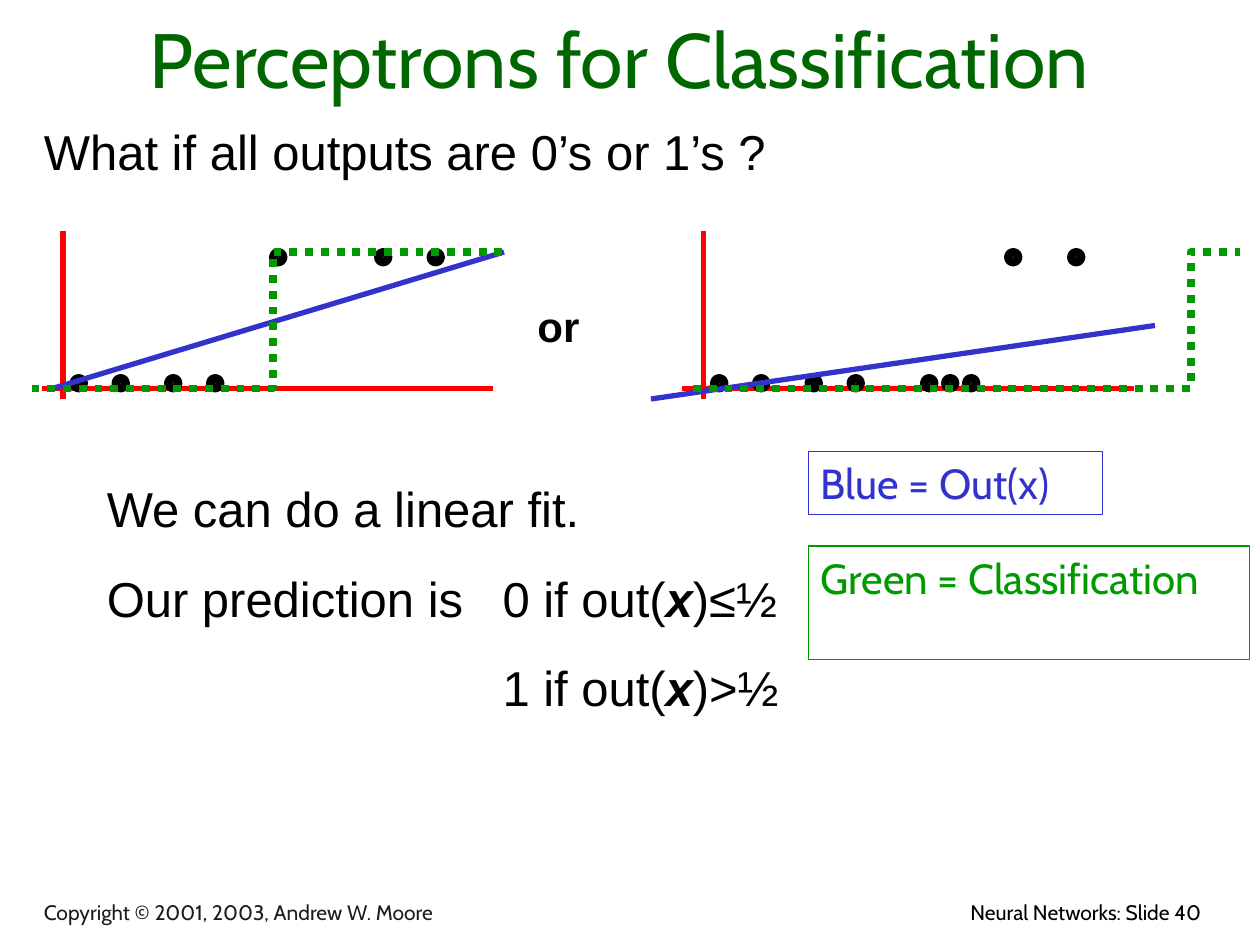
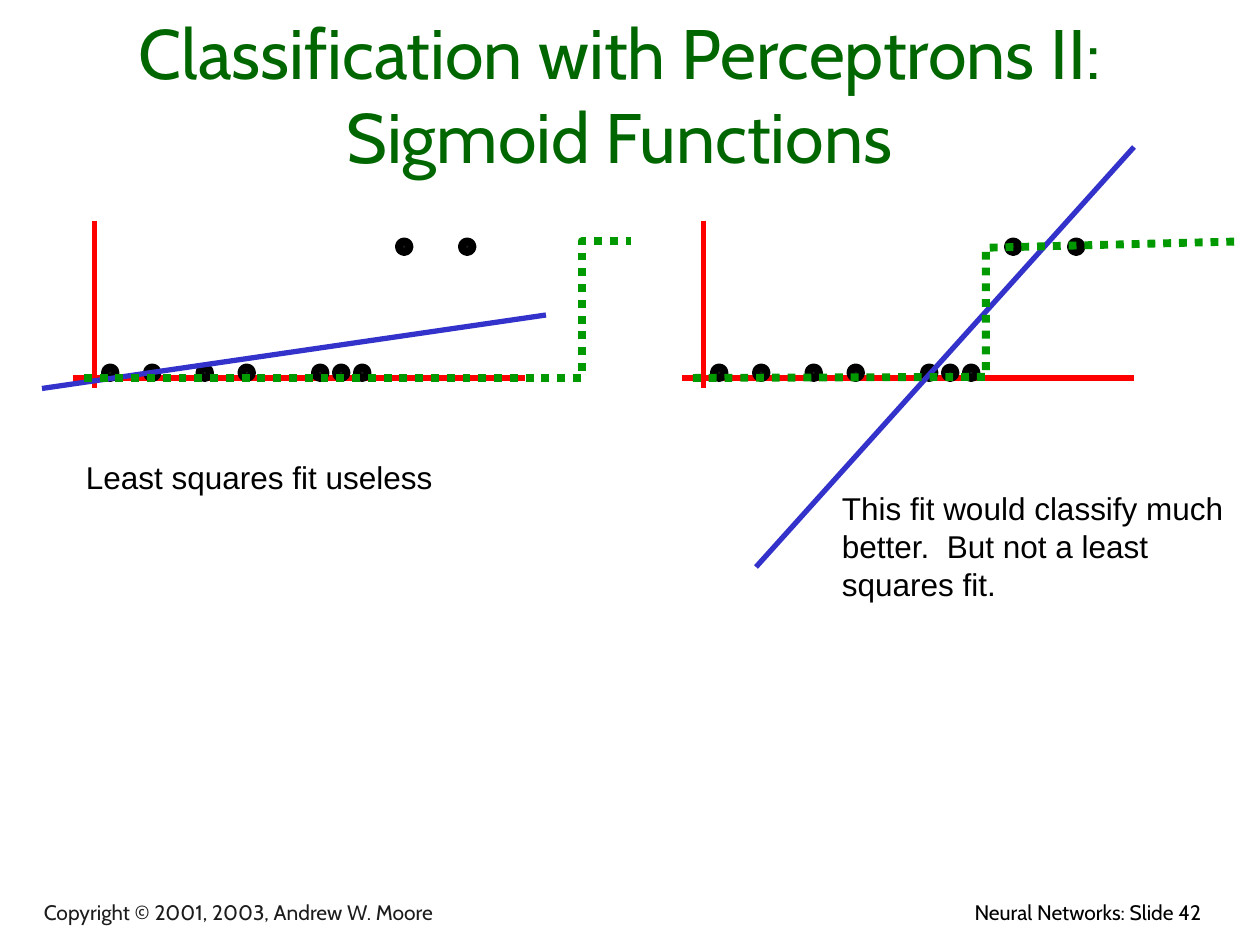
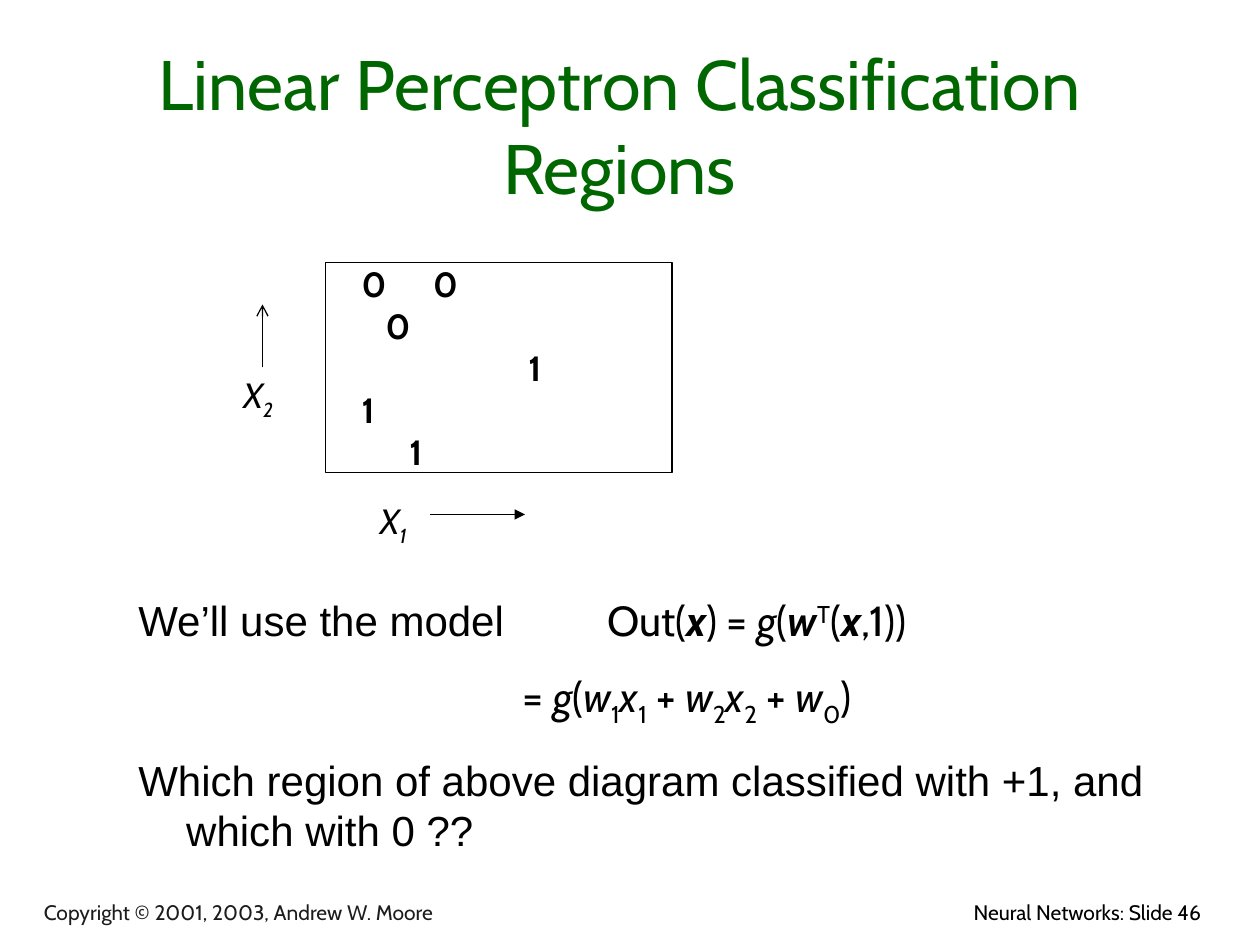
from pptx import Presentation
from pptx.dml.color import RGBColor
from pptx.enum.dml import MSO_LINE
from pptx.enum.shapes import MSO_CONNECTOR, MSO_SHAPE
from pptx.enum.text import MSO_ANCHOR, MSO_AUTO_SIZE, PP_ALIGN
from pptx.oxml.ns import qn
from pptx.util import Inches, Pt
from lxml import etree

STRAIGHT = MSO_CONNECTOR.STRAIGHT
DOT, RECTANGLE = MSO_SHAPE.FLOWCHART_CONNECTOR, MSO_SHAPE.RECTANGLE
DOTTED = MSO_LINE.ROUND_DOT
TOP, MIDDLE, BOTTOM = MSO_ANCHOR.TOP, MSO_ANCHOR.MIDDLE, MSO_ANCHOR.BOTTOM
LEFT, CENTER, RIGHT = PP_ALIGN.LEFT, PP_ALIGN.CENTER, PP_ALIGN.RIGHT

# The slide is a grid of 120 columns by 90 rows, 12 cells to the inch.
COLUMNS, ROWS, CELL = 120, 90, Inches(1) / 12
TITLE_LAYOUT = 5
COLORS = {"title": "006600", "text": "000000", "footer": "1C1C1C",
          "axis": "FF0000", "fit": "3333CC", "class": "009900"}
SANS, CABIN = "Arial", "Cabin"
COPYRIGHT = "Copyright © 2001, 2003, Andrew W. Moore"
COURSE = "Neural Networks: Slide {}"

# Points of a plot are (columns right, rows up) from its origin.
FEW_POINTS = {"low": (1, 5, 10, 14), "high": (20, 30, 35)}
MANY_POINTS = {"low": (1, 5, 10, 14, 21, 23, 25), "high": (29, 35)}
FLAT_FIT = {"points": MANY_POINTS, "fit": ((-5, -1), (43, 6)),
            "step": ((-1, 0), (46.4, 0), (46.4, 13), (51.1, 13))}
EARLY_STEP = {"points": FEW_POINTS, "fit": ((-1, 0), (42, 13)),
              "step": ((-3, 0), (20, 0), (20, 13), (42, 13))}
STEEP_FIT = {"points": MANY_POINTS, "fit": ((5, -18), (41, 22)),
             "step": ((-1, 0), (26.9, 0.1), (26.9, 12.4), (51.1, 13))}

# A paragraph is a list of (text, style): b bold, i italic, _ sub, ^ super, c Cabin.
PREDICTION = [
    [("We can do a linear fit.", "")],
    [("Our prediction is\t0 if out(", ""), ("x", "bi"), (")≤½", "")],
    [("\t1 if out(", ""), ("x", "bi"), (")>½", "")],
]
MODEL = [
    [("We’ll use the model\t", ""), ("Out(", "c"), ("x", "cbi"), (") = ", "c"),
     ("g", "ci"), ("(", "c"), ("w", "cbi"), ("T", "c^"), ("(", "c"),
     ("x", "cbi"), (",1))", "c")],
    [("\t= ", "c"), ("g", "ci"), ("(", "c"), ("w", "ci"), ("1", "c_"),
     ("x", "ci"), ("1", "c_"), (" +", "c"), (" w", "ci"), ("2", "c_"),
     ("x", "ci"), ("2", "c_"), (" + ", "c"), ("w", "ci"), ("0", "c_"),
     (")", "c")],
    [("Which region of above diagram classified with +1, and which with 0 ??", "")],
]
MODEL_TABS = [[3.72], [3.05], []]
REGION_STEP = 0.063  # inches between places in a region row
REGION_ROWS = [("0", (3, 12)), ("0", (6,)), ("1", (24,)), ("1", (3,)), ("1", (9,))]

SLIDES = [
    {"number": 40, "title": "Perceptrons for Classification", "title_size": 44,
     "title_box": (3, 2, 112, 8.5),
     "plots": [((6, 37), EARLY_STEP), ((67, 37), FLAT_FIT)],
     "texts": [
         {"box": (3, 11, 112.5, 9), "size": 28, "before": 7,
          "paragraphs": [[("What if all outputs are 0’s or 1’s ?", "")]]},
         {"box": (50, 28, 10, 6), "size": 24, "before": 15,
          "paragraphs": [[("or", "b")]]},
         {"box": (9, 45, 102, 24), "size": 28, "before": 17.5,
          "paragraphs": PREDICTION, "tabs": [[], [3.14], [3.14]]},
         {"box": (77, 43, 28, 6), "size": 24, "before": 15, "color": "fit",
          "border": "fit", "paragraphs": [[("Blue = Out(x)", "c")]]},
         {"box": (77, 52, 42, 10.8), "size": 24, "before": 15, "color": "class",
          "border": "class", "paragraphs": [[("Green = Classification", "c")]]},
     ]},
    {"number": 42, "title": "Classification with Perceptrons II:\nSigmoid Functions",
     "title_size": 40, "title_box": (3, 1, 112, 16.5),
     "plots": [((9, 36), FLAT_FIT), ((67, 36), STEEP_FIT)],
     "texts": [
         {"box": (7, 43, 37, 4.8), "size": 18, "before": 11.2,
          "paragraphs": [[("Least squares fit useless", "")]]},
         {"box": (79, 46, 40, 12), "size": 18, "before": 11.2,
          "paragraphs": [[("This fit would classify much better.  But not a least "
                           "squares fit.", "")]]},
     ]},
    {"number": 46, "title": "Linear Perceptron Classification Regions",
     "title_size": 40, "title_box": (3, 3, 112, 17.5),
     "texts": [
         {"box": (31, 25, 33, 20), "size": 20, "border": "text", "anchor": MIDDLE,
          "paragraphs": [[(f"\t{label}" * len(places), "cb")]
                         for label, places in REGION_ROWS],
          "tabs": [[place * REGION_STEP for place in places]
                   for _, places in REGION_ROWS]},
         {"box": (22, 35, 6, 5.7), "size": 20, "before": 12.5,
          "paragraphs": [[("X", "ci"), ("2", "ci_")]]},
         {"box": (35, 47, 11, 5.7), "size": 20, "before": 12.5,
          "paragraphs": [[("X", "ci"), ("1", "ci_")]]},
         {"box": (12, 56, 102, 26), "size": 24, "before": 15, "hang": 0.38,
          "paragraphs": MODEL, "tabs": MODEL_TABS},
     ],
     "arrows": [((41, 49), (50, 49), "triangle"), ((25, 35), (25, 29), "arrow")]},
]


def cells(*lengths):
    return [round(length * CELL) for length in lengths]


def rgb(name):
    return RGBColor.from_string(COLORS[name])


def add_run(paragraph, text, style, size, color):
    run = paragraph.add_run()
    run.text = text
    font = run.font
    font.name = CABIN if "c" in style else SANS
    font.size = Pt(size)
    font.bold, font.italic = "b" in style, "i" in style
    font.color.rgb = rgb(color)
    for mark, shift in (("_", "-25000"), ("^", "30000")):
        if mark in style:
            font._element.set("baseline", shift)


def set_tabs(paragraph, stops, hang):
    """Set tab stops, or a hanging indent on a paragraph that has none."""
    properties = paragraph._p.get_or_add_pPr()
    if stops:
        tab_list = etree.SubElement(properties, qn("a:tabLst"))
        for stop in stops:
            etree.SubElement(tab_list, qn("a:tab"), pos=str(Inches(stop)), algn="l")
    elif hang:
        properties.set("marL", str(Inches(hang)))
        properties.set("indent", str(-Inches(hang)))


def add_text(slide, box, paragraphs, size, before=0, color="text", border=None,
             anchor=TOP, align=LEFT, tabs=None, hang=0):
    if border:
        shape = slide.shapes.add_shape(RECTANGLE, *cells(*box))
        shape.shadow.inherit = False
        shape.fill.background()
        shape.line.color.rgb = rgb(border)
        shape.line.width = Pt(0.75)
    else:
        shape = slide.shapes.add_textbox(*cells(*box))
    frame = shape.text_frame
    frame.word_wrap = True
    frame.vertical_anchor = anchor
    for index, runs in enumerate(paragraphs):
        paragraph = frame.add_paragraph() if index else frame.paragraphs[0]
        paragraph.alignment = align
        paragraph.space_before = Pt(before)
        set_tabs(paragraph, tabs[index] if tabs else [], hang)
        for text, style in runs:
            add_run(paragraph, text, style, size, color)


def add_line(slide, start, end, color, width, head=None):
    connector = slide.shapes.add_connector(STRAIGHT, *cells(*start, *end))
    connector.line.color.rgb = rgb(color)
    connector.line.width = Pt(width)
    properties = connector._element.spPr
    if head:
        etree.SubElement(properties.find(qn("a:ln")), qn("a:tailEnd"), type=head)
    etree.SubElement(properties, qn("a:effectLst"))


def add_plot(slide, origin, plot):
    def place(point):
        return origin[0] + point[0], origin[1] - point[1]

    for start, end in (((0, 15), (0, -1)), ((41, 0), (-2, 0))):
        add_line(slide, place(start), place(end), "axis", 3)
    for level, height in (("low", 1), ("high", 13)):
        for column in plot["points"][level]:
            dot = slide.shapes.add_shape(DOT, *cells(*place((column, height)), 1, 1))
            dot.shadow.inherit = False
            dot.fill.solid()
            dot.fill.fore_color.rgb = rgb("footer")
            dot.line.color.rgb = rgb("text")
            dot.line.width = Pt(4.5)
    start, end = plot["fit"]
    add_line(slide, place(start), place(end), "fit", 3)

    corners = [cells(*place(point)) for point in plot["step"]]
    builder = slide.shapes.build_freeform(*corners[0])
    builder.add_line_segments(corners[1:], close=False)
    step = builder.convert_to_shape()
    step.shadow.inherit = False
    step.fill.background()
    step.line.color.rgb = rgb("class")
    step.line.width = Pt(4.5)
    step.line.dash_style = DOTTED


def add_title(slide, text, size, box):
    title = slide.shapes.title
    title.left, title.top, title.width, title.height = cells(*box)
    frame = title.text_frame
    frame.auto_size = MSO_AUTO_SIZE.NONE
    frame.vertical_anchor = BOTTOM
    paragraph = frame.paragraphs[0]
    paragraph.alignment = CENTER
    for index, row in enumerate(text.split("\n")):
        if index:
            paragraph.add_line_break()
        add_run(paragraph, row, "c", size, "title")


def add_footer(slide, number):
    add_text(slide, (68.6, 85.1, 47, 4), [[(COURSE.format(number), "c")]], 12,
             before=7.5, align=RIGHT)
    add_text(slide, (3, 85.3, 66.6, 3.4), [[(COPYRIGHT, "c")]], 12,
             color="footer", anchor=BOTTOM)


def main():
    deck = Presentation()
    deck.slide_width, deck.slide_height = cells(COLUMNS, ROWS)
    for content in SLIDES:
        slide = deck.slides.add_slide(deck.slide_layouts[TITLE_LAYOUT])
        add_footer(slide, content["number"])
        add_title(slide, content["title"], content["title_size"], content["title_box"])
        for origin, plot in content.get("plots", []):
            add_plot(slide, origin, plot)
        for text in content["texts"]:
            add_text(slide, **text)
        for start, end, head in content.get("arrows", []):
            add_line(slide, start, end, "text", 0.75, head)
    deck.save("out.pptx")


if __name__ == "__main__":
    main()
